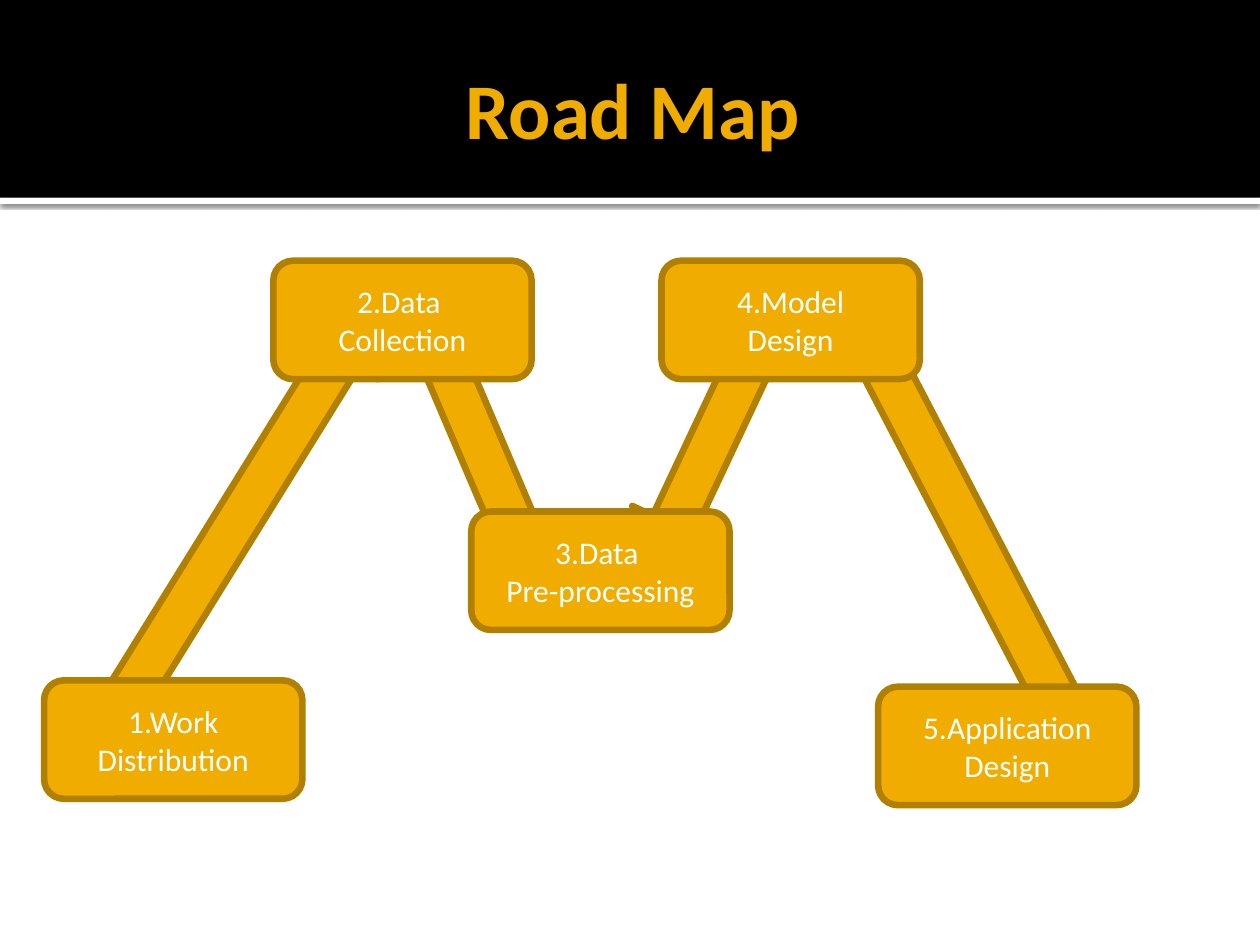
from lxml import etree
from pptx import Presentation
from pptx.dml.color import RGBColor
from pptx.enum.shapes import MSO_SHAPE
from pptx.enum.text import MSO_ANCHOR, PP_ALIGN
from pptx.oxml.ns import qn
from pptx.util import Pt

RECT = MSO_SHAPE.RECTANGLE
ROUNDED = MSO_SHAPE.ROUNDED_RECTANGLE
ARROW = MSO_SHAPE.RIGHT_ARROW
MIDDLE = MSO_ANCHOR.MIDDLE
CENTER = PP_ALIGN.CENTER

COLORS = {"black": "000000", "white": "FFFFFF", "gold": "F0AD00", "edge": "B28000"}
FONT = "Calibri"
STEP_W, STEP_H = 147.6, 67.7
ARROW_H = 51.1

# left, top within the road map, lines of text
STEPS = [
    (0, 239.8, "1.Work\nDistribution"),
    (131, 0, "2.Data \nCollection"),
    (244.1, 143.3, "3.Data \nPre-processing"),
    (352.8, 0, "4.Model\nDesign"),
    (476.6, 243.4, "5.Application\nDesign"),
]
# left, top within the road map, length, rotation; from back to front
ARROWS = [
    (401, 143.3, 270, 62.5),
    (308.9, 86.4, 137.5, 115.2),
    (-12.2, 115.2, 254.9, 301.8),
    (188.6, 99.4, 137.5, 66.9),
]


def rgb(name):
    return RGBColor.from_string(COLORS[name])


def add_block(s, kind, x, y, w, h, fill, edge=None):
    sp = s.shapes.add_shape(kind, Pt(x), Pt(y), Pt(w), Pt(h))
    sp.shadow.inherit = False
    sp.fill.solid()
    sp.fill.fore_color.rgb = rgb(fill)
    if edge:
        sp.line.color.rgb = rgb(edge)
        sp.line.width = Pt(3.78)
    else:
        sp.line.fill.background()
    return sp


def write(sp, text, size, color, bold=False):
    tf = sp.text_frame
    tf.word_wrap = True
    tf.vertical_anchor = MIDDLE
    tf.text = text
    for p in tf.paragraphs:
        p.alignment = CENTER
        p.font.name = FONT
        p.font.size = Pt(size)
        p.font.bold = bold
        p.font.color.rgb = rgb(color)


def add_drop_shadow(sp, blur, dist, alpha):
    effects = sp._element.spPr.find(qn("a:effectLst"))
    shadow = etree.SubElement(
        effects, qn("a:outerShdw"), blurRad=str(Pt(blur)), dist=str(Pt(dist)),
        dir="5400000", algn="tl", rotWithShape="0")
    color = etree.SubElement(shadow, qn("a:srgbClr"), val=COLORS["black"])
    etree.SubElement(color, qn("a:alpha"), val=str(alpha * 1000))


def add_header(s, x, y, w, h):
    strip = add_block(s, RECT, x, y + h, w, 3.6, "white")
    add_drop_shadow(strip, blur=2.5, dist=0.8, alpha=60)
    add_block(s, RECT, x, y, w, h, "black")
    title = s.shapes.add_textbox(Pt(x + 36), Pt(y + 12.2), Pt(w - 72), Pt(98.6))
    write(title, "Road Map", 45, "gold", bold=True)
    title.text_frame.margin_right = Pt(3.6)


def add_road_map(s, x, y):
    for dx, dy, length, angle in ARROWS:
        arrow = add_block(s, ARROW, x + dx, y + dy, length, ARROW_H, "gold", "edge")
        arrow.rotation = angle
    for dx, dy, text in STEPS:
        step = add_block(s, ROUNDED, x + dx, y + dy, STEP_W, STEP_H, "gold", "edge")
        write(step, text, 18, "white")


def main():
    prs = Presentation()
    prs.slide_width, prs.slide_height = Pt(720), Pt(540)
    s = prs.slides.add_slide(prs.slide_layouts[6])
    add_header(s, 0, 0, 720, 113)
    add_road_map(s, 25.2, 149)
    prs.save("out.pptx")


if __name__ == "__main__":
    main()
